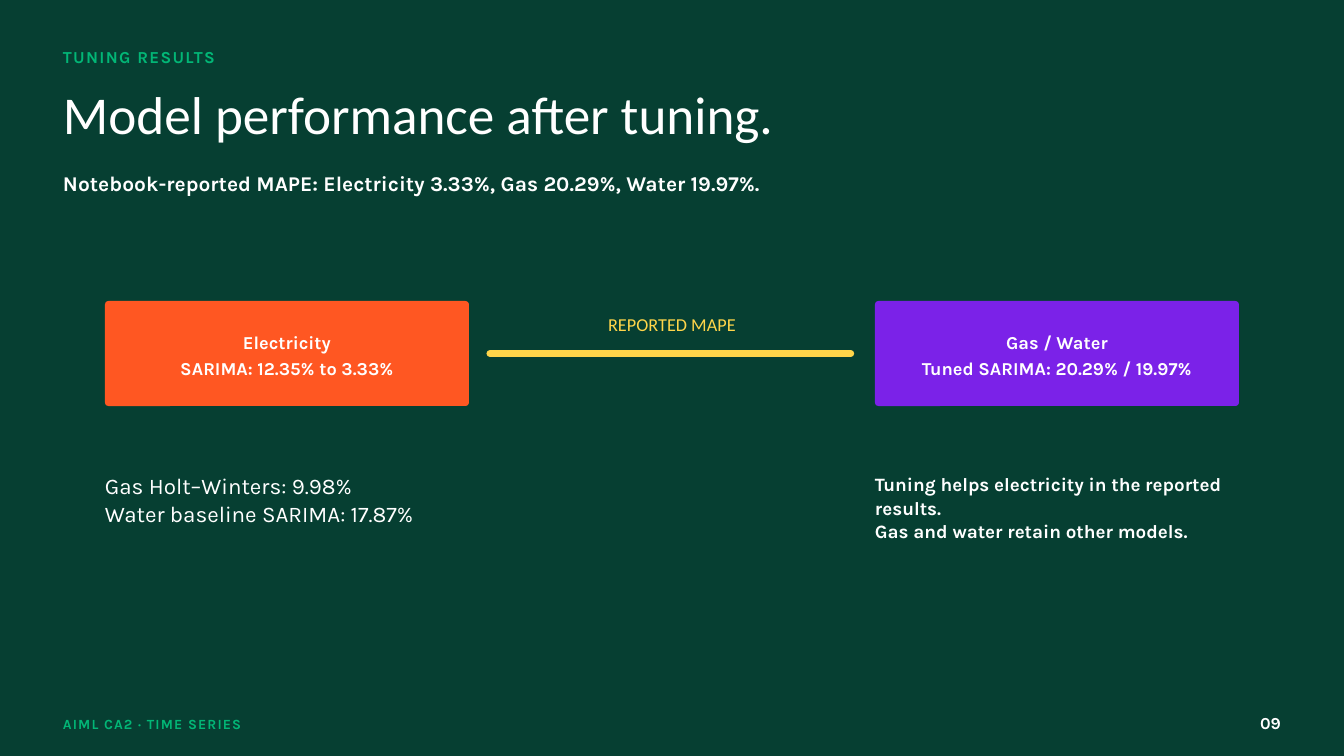
from lxml import etree
from pptx import Presentation
from pptx import util as u
from pptx.dml.color import RGBColor
from pptx.enum import shapes, text
from pptx.oxml.ns import qn

Pt = u.Pt
LEFT, CENTER, RIGHT = text.PP_ALIGN.LEFT, text.PP_ALIGN.CENTER, text.PP_ALIGN.RIGHT

# Geometry in points
MARGIN = 67.5
CARD_LEFTS = (112.5, 937.5)
CARD_TOP, CARD_WIDTH, CARD_HEIGHT = 322.5, 390, 112.5
CARD_RADIUS = 3.75
LINK_START, LINK_END = 525, 911.5

THEME = {
    "colors": {
        "background": "063F32", "accent": "02B676", "text": "FFFFFF",
        "electricity": "FF5722", "gas_water": "7B22E8", "link": "FFD54A",
    },
    # style: font, size, line spacing, bold, colour, tracking
    "styles": {
        "eyebrow": ("Karla", 18, 25.2, True, "accent", 1.4),
        "title": ("Calibri", 57, 55.9, False, "text", 0),
        "subtitle": ("Karla", 22.5, 28.1, True, "text", 0),
        "card": ("Karla", 19.5, 27.3, True, "text", 0),
        "link": ("Calibri", 19.5, 19.1, False, "link", 0),
        "models": ("Karla", 24, 30, False, "text", 0),
        "takeaway": ("Karla", 20.2, 25.3, True, "text", 0),
        "footer": ("Karla", 15, 21, True, "accent", 1.2),
        "page": ("Karla", 18, 22.5, True, "text", 0),
    },
}

# Content
TITLE = "Model performance after tuning."
TITLE_BOX = (MARGIN, 99.4, 1087, 59)
CARDS = [
    ("electricity", ["Electricity", "SARIMA: 12.35% to 3.33%"]),
    ("gas_water", ["Gas / Water", "Tuned SARIMA: 20.29% / 19.97%"]),
]
# style, lines, (left, top, width, height), alignment
TEXTS = [
    ("eyebrow", ["TUNING RESULTS"], (MARGIN, 46, 375, 24.5), LEFT),
    ("subtitle", ["Notebook-reported MAPE: Electricity 3.33%, Gas 20.29%, Water 19.97%."],
     (MARGIN, 182, 1155, 28), LEFT),
    ("link", ["REPORTED MAPE"], (622.5, 340.5, 195, 20), CENTER),
    ("models", ["Gas Holt–Winters: 9.98%", "Water baseline SARIMA: 17.87%"],
     (CARD_LEFTS[0], 504.7, 750, 60.5), LEFT),
    ("takeaway", ["Tuning helps electricity in the reported results.",
                  "Gas and water retain other models."],
     (CARD_LEFTS[1], 505.4, CARD_WIDTH, 74), LEFT),
    ("footer", ["AIML CA2 · TIME SERIES"], (MARGIN, 764, 375, 21), LEFT),
    ("page", ["09"], (1305, 762.5, MARGIN, 22.5), RIGHT),
]


def color(name):
    return RGBColor.from_string(THEME["colors"][name])


def points(*values):
    return [Pt(value) for value in values]


def write(shape, lines, style, alignment, anchor=text.MSO_ANCHOR.TOP, inset=0):
    font_name, size, spacing, bold, color_name, tracking = THEME["styles"][style]
    frame = shape.text_frame
    frame.text = "\n".join(lines)
    frame.word_wrap = True
    frame.auto_size = text.MSO_AUTO_SIZE.NONE
    frame.vertical_anchor = anchor
    frame.margin_left = frame.margin_right = Pt(inset)
    frame.margin_top = frame.margin_bottom = Pt(inset)
    for paragraph in frame.paragraphs:
        paragraph.alignment = alignment
        paragraph.line_spacing = Pt(spacing)
        for run in paragraph.runs:
            run.font.name = font_name
            run.font.size = Pt(size)
            run.font.bold = bold
            run.font.color.rgb = color(color_name)
            if tracking:
                run.font._element.set("spc", str(round(tracking * 100)))


def add_card(slide, left, fill, lines):
    card = slide.shapes.add_shape(
        shapes.MSO_SHAPE.ROUNDED_RECTANGLE,
        *points(left, CARD_TOP, CARD_WIDTH, CARD_HEIGHT))
    card.adjustments[0] = CARD_RADIUS / CARD_HEIGHT
    card.shadow.inherit = False
    card.fill.solid()
    card.fill.fore_color.rgb = color(fill)
    card.line.fill.background()
    write(card, lines, "card", CENTER, text.MSO_ANCHOR.MIDDLE, 4.5)


def add_link(slide):
    middle = CARD_TOP + CARD_HEIGHT / 2
    link = slide.shapes.add_connector(
        shapes.MSO_CONNECTOR.STRAIGHT,
        *points(LINK_START, middle, LINK_END, middle))
    link.line.color.rgb = color("link")
    link.line.width = Pt(7.5)
    link.line._get_or_add_ln().set("cap", "rnd")
    etree.SubElement(link._element.spPr, qn("a:effectLst"))


def main():
    presentation = Presentation()
    presentation.slide_width, presentation.slide_height = points(1440, 810)
    slide = presentation.slides.add_slide(presentation.slide_layouts.get_by_name("Title Only"))
    slide.background.fill.solid()
    slide.background.fill.fore_color.rgb = color("background")

    # Title
    title = slide.shapes.title
    title.left, title.top, title.width, title.height = points(*TITLE_BOX)
    write(title, [TITLE], "title", LEFT)

    # Cards and the link between them
    for left, (fill, lines) in zip(CARD_LEFTS, CARDS):
        add_card(slide, left, fill, lines)
    add_link(slide)

    # Free text
    for style, lines, box, alignment in TEXTS:
        write(slide.shapes.add_textbox(*points(*box)), lines, style, alignment)

    presentation.save("out.pptx")


if __name__ == "__main__":
    main()
